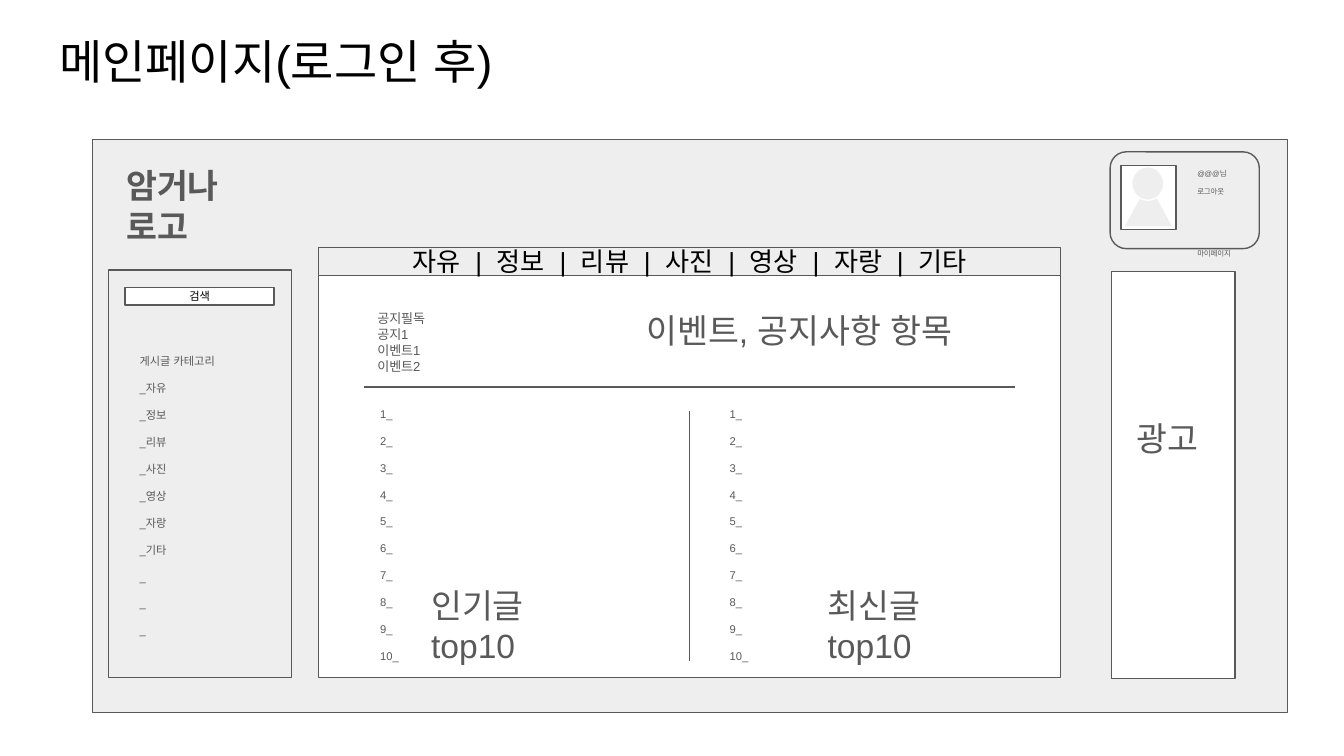
from lxml import etree
from pptx import Presentation
from pptx.dml.color import RGBColor
from pptx.enum.shapes import MSO_CONNECTOR, MSO_SHAPE
from pptx.enum.text import MSO_ANCHOR, MSO_AUTO_SIZE, PP_ALIGN
from pptx.oxml.ns import qn
from pptx.util import Inches, Pt

RECTANGLE = MSO_SHAPE.RECTANGLE
ROUNDED = MSO_SHAPE.ROUNDED_RECTANGLE
TRIANGLE = MSO_SHAPE.ISOSCELES_TRIANGLE
OVAL = MSO_SHAPE.OVAL
STRAIGHT = MSO_CONNECTOR.STRAIGHT
TOP, MIDDLE = MSO_ANCHOR.TOP, MSO_ANCHOR.MIDDLE
LEFT, CENTER = PP_ALIGN.LEFT, PP_ALIGN.CENTER
NO_AUTOFIT = MSO_AUTO_SIZE.NONE

FONT = "Arial"
COLORS = {"panel": "EEEEEE", "white": "FFFFFF", "gray": "595959", "black": "000000"}
BOARDS = ["자유", "정보", "리뷰", "사진", "영상", "자랑", "기타"]


def color(name):
    return RGBColor.from_string(COLORS[name])


def set_korean_font(para):
    properties = para._p.pPr.find(qn("a:defRPr"))
    etree.SubElement(properties, qn("a:ea"), typeface=FONT)


def write(shape, lines, size, ink="gray", align=LEFT, anchor=TOP, bold=False,
          leading=None, gaps=()):
    frame = shape.text_frame
    frame.auto_size = NO_AUTOFIT
    frame.word_wrap = True
    frame.vertical_anchor = anchor
    frame.margin_left = frame.margin_right = Inches(0.1)
    frame.margin_top = frame.margin_bottom = Inches(0.1)
    frame.text = "\n".join(lines)
    for para in frame.paragraphs:
        para.alignment = align
        para.font.name = FONT
        para.font.size = Pt(size)
        para.font.bold = bold
        para.font.color.rgb = color(ink)
        set_korean_font(para)
        if leading:
            para.line_spacing = Pt(leading)
    for para, gap in zip(frame.paragraphs, gaps):
        para.space_after = Pt(gap)


def add_title(page, text):
    title = page.shapes.title
    title.left, title.top = Inches(0.34), Inches(0.14)
    title.width, title.height = Inches(9.32), Inches(0.63)
    write(title, [text], 25.2, "black", anchor=MIDDLE)


def add_panel(shapes, kind, left, top, width, height, fill="panel", line="gray"):
    panel = shapes.add_shape(kind, Inches(left), Inches(top), Inches(width), Inches(height))
    panel.shadow.inherit = False
    panel.fill.solid()
    panel.fill.fore_color.rgb = color(fill)
    panel.line.color.rgb = color(line)
    panel.line.width = Pt(0.75)
    return panel


def add_text(page, left, top, width, height, lines, size, **style):
    box = page.shapes.add_textbox(Inches(left), Inches(top), Inches(width), Inches(height))
    write(box, lines, size, **style)


def add_list(page, left, top, height, lines):
    add_text(page, left, top, 1.11, height, lines, 6, leading=7.2,
             gaps=[7.2] * (len(lines) - 1))


def add_divider(page, x1, y1, x2, y2):
    divider = page.shapes.add_connector(STRAIGHT, Inches(x1), Inches(y1), Inches(x2), Inches(y2))
    divider.line.color.rgb = color("gray")
    divider.line.width = Pt(0.75)
    etree.SubElement(divider._element.spPr, qn("a:effectLst"))


def add_sidebar(page):
    add_panel(page.shapes, RECTANGLE, 0.81, 2.01, 1.36, 3.03)
    search = add_panel(page.shapes, RECTANGLE, 0.93, 2.14, 1.11, 0.13, "white")
    write(search, ["검색"], 6, "black", CENTER, MIDDLE)
    categories = ["_" + board for board in BOARDS] + ["_"] * 3
    add_list(page, 0.94, 2.54, 2.37, ["게시글 카테고리"] + categories)
    add_text(page, 0.84, 1.13, 1.29, 0.81, ["암거나 로고"], 18, bold=True)


def add_main_board(page):
    add_panel(page.shapes, RECTANGLE, 2.37, 2.01, 5.52, 3.03, "white")
    add_divider(page, 5.13, 3.06, 5.13, 4.92)
    add_divider(page, 2.71, 2.88, 7.55, 2.88)
    add_text(page, 2.71, 2.21, 2.69, 0.67, ["공지필독", "공지1", "이벤트1", "이벤트2"], 7, leading=8.5)
    add_text(page, 4.71, 2.21, 2.69, 0.5, ["이벤트, 공지사항 항목"], 18)
    ranks = [f"{rank}_" for rank in range(1, 11)]
    for list_left, label_left, label in ((2.73, 3.11, "인기글 top10"), (5.33, 6.06, "최신글top10")):
        add_text(page, label_left, 4.25, 0.9, 0.81, [label], 18)
        add_list(page, list_left, 2.93, 1.98, ranks)
    menu = add_panel(page.shapes, RECTANGLE, 2.37, 1.84, 5.52, 0.21)
    write(menu, ["  |  ".join(BOARDS)], 14, "black", CENTER, MIDDLE)


def add_advert(page):
    add_panel(page.shapes, RECTANGLE, 8.27, 2.02, 0.92, 3.03, "white")
    add_text(page, 8.36, 3.01, 0.79, 0.5, ["광고"], 18)


def add_profile(page):
    add_panel(page.shapes, ROUNDED, 8.26, 1.13, 1.11, 0.72)
    add_text(page, 8.81, 1.16, 0.49, 0.74, ["@@@님", "로그아웃", "마이페이지"], 4,
             leading=4.7, gaps=[4.7, 28.5])
    avatar = page.shapes.add_group_shape().shapes
    add_panel(avatar, RECTANGLE, 8.34, 1.23, 0.41, 0.48, "white")
    add_panel(avatar, TRIANGLE, 8.36, 1.35, 0.37, 0.34, line="white")
    add_panel(avatar, OVAL, 8.42, 1.24, 0.24, 0.25, line="white")


def main():
    deck = Presentation()
    deck.slide_width = Inches(10)
    deck.slide_height = deck.slide_width * 9 // 16
    page = deck.slides.add_slide(deck.slide_layouts[5])
    add_title(page, "메인페이지(로그인 후)")
    add_panel(page.shapes, RECTANGLE, 0.69, 1.04, 8.89, 4.26)
    add_sidebar(page)
    add_main_board(page)
    add_advert(page)
    add_profile(page)
    deck.save("out.pptx")


if __name__ == "__main__":
    main()
